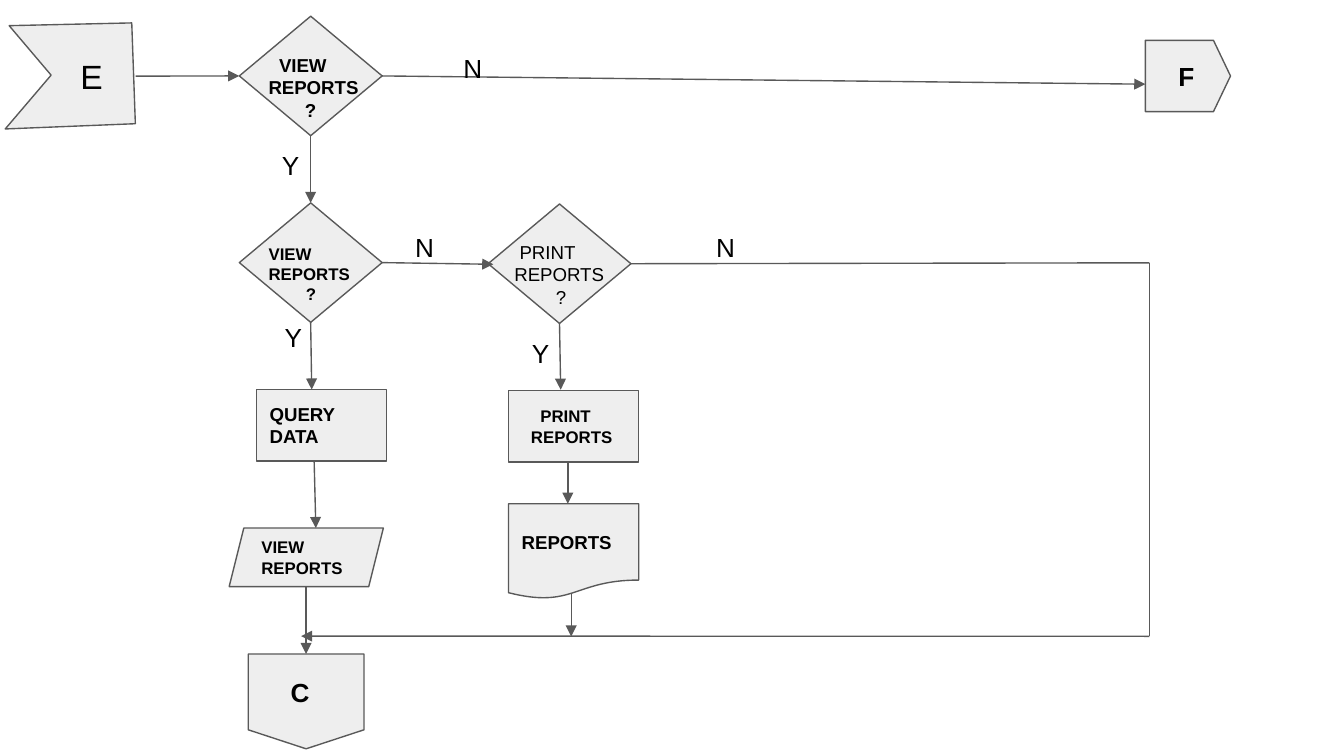
from lxml import etree
from pptx import Presentation
from pptx.dml.color import RGBColor
from pptx.enum.shapes import MSO_CONNECTOR, MSO_SHAPE
from pptx.enum.text import MSO_ANCHOR, PP_ALIGN
from pptx.oxml.ns import qn
from pptx.util import Pt

STRAIGHT = MSO_CONNECTOR.STRAIGHT
DIAMOND = MSO_SHAPE.DIAMOND
RECT = MSO_SHAPE.RECTANGLE
PARALLELOGRAM = MSO_SHAPE.PARALLELOGRAM
DOCUMENT = MSO_SHAPE.FLOWCHART_DOCUMENT
OFFPAGE = MSO_SHAPE.FLOWCHART_OFFPAGE_CONNECTOR
LEFT = PP_ALIGN.LEFT
TOP_ANCHOR, MIDDLE_ANCHOR = MSO_ANCHOR.TOP, MSO_ANCHOR.MIDDLE
TOP_SIDE, LEFT_SIDE, BOTTOM_SIDE, RIGHT_SIDE = range(4)


def color(value):
    return RGBColor.from_string(value)


class Flowchart:
    font = "Arial"
    ink = "000000"
    fill = "EEEEEE"
    stroke = "595959"
    weight = 0.75
    inset = 7.2

    def __init__(self, slide):
        self.slide = slide

    def outline(self, sp):
        sp.line.color.rgb = color(self.stroke)
        sp.line.width = Pt(self.weight)

    def paint(self, sp):
        sp.shadow.inherit = False
        sp.fill.solid()
        sp.fill.fore_color.rgb = color(self.fill)
        self.outline(sp)

    def set_lines(self, sp, lines, size, bold, anchor):
        tf = sp.text_frame
        tf.word_wrap = True
        tf.vertical_anchor = anchor
        tf.margin_left = tf.margin_right = Pt(self.inset)
        tf.margin_top = tf.margin_bottom = Pt(self.inset)
        for i, (text, indent) in enumerate(lines):
            p = tf.add_paragraph() if i else tf.paragraphs[0]
            p.add_run().text = text
            p.alignment = LEFT
            p.font.name = self.font
            p.font.size = Pt(size)
            p.font.bold = bold
            p.font.color.rgb = color(self.ink)
            pPr = p._p.get_or_add_pPr()
            pPr.set("marL", str(Pt(indent)))
            pPr.set("indent", "0")

    def shape(self, kind, x, y, w, h, lines=(), size=10, rotation=0):
        sp = self.slide.shapes.add_shape(kind, Pt(x), Pt(y), Pt(w), Pt(h))
        sp.rotation = rotation
        self.paint(sp)
        if lines:
            self.set_lines(sp, lines, size, True, MIDDLE_ANCHOR)
        return sp

    def text(self, x, y, w, h, lines, size=14, bold=False):
        sp = self.slide.shapes.add_textbox(Pt(x), Pt(y), Pt(w), Pt(h))
        self.set_lines(sp, lines, size, bold, TOP_ANCHOR)

    def polygon(self, points):
        points = [(Pt(x), Pt(y)) for x, y in points]
        builder = self.slide.shapes.build_freeform(*points[0])
        builder.add_line_segments(points[1:], close=True)
        self.paint(builder.convert_to_shape())

    def position(self, end):
        sp, side = end
        if not hasattr(sp, "left"):
            return Pt(sp), Pt(side)
        dx, dy = ((1, 0), (0, 1), (1, 2), (2, 1))[side]
        return sp.left + sp.width * dx // 2, sp.top + sp.height * dy // 2

    def connect(self, start, end, arrow=True):
        c = self.slide.shapes.add_connector(
            STRAIGHT, *self.position(start), *self.position(end))
        if hasattr(start[0], "left"):
            c.begin_connect(*start)
        if hasattr(end[0], "left"):
            c.end_connect(*end)
        self.outline(c)
        spPr = c._element.spPr
        if arrow:
            tail = etree.SubElement(spPr.get_or_add_ln(), qn("a:tailEnd"))
            tail.set("type", "triangle")
        etree.SubElement(spPr, qn("a:effectLst"))


def main():
    prs = Presentation()
    prs.slide_width, prs.slide_height = Pt(720), Pt(405)
    chart = Flowchart(prs.slides.add_slide(prs.slide_layouts[6]))

    chart.polygon([(70.6, 12.3), (4.9, 13.8), (27.4, 40.3), (2.8, 69.1), (72.5, 66.3)])
    view, query, printing = [
        chart.shape(DIAMOND, x, y, 76.5, 64)
        for x, y in ((128.2, 8.7), (128.2, 108.7), (261.5, 109.3))]
    chart.shape(OFFPAGE, 617.3, 17.9, 38.2, 45.6, rotation=270)
    chart.shape(RECT, 137.4, 208.7, 69.8, 38.3, [("QUERY", 0), ("DATA", 0)])
    chart.shape(RECT, 272.4, 209.2, 69.8, 38.3, [("PRINT", 10), ("REPORTS", 5)], 9)
    output = chart.shape(PARALLELOGRAM, 122.8, 282.9, 82.6, 31.4,
                         [("VIEW", 0), ("REPORTS", 0)], 9)
    output.adjustments[0] = 0.25
    chart.shape(DOCUMENT, 272.4, 269.9, 69.8, 51, [("REPORTS", 0)])
    exit_c = chart.shape(OFFPAGE, 133, 350.4, 62, 50.8, [("C", 15.6)], 14)

    chart.connect((72.7, 40.8), (view, LEFT_SIDE))
    chart.connect((view, RIGHT_SIDE), (613.6, 45.1))
    chart.connect((view, BOTTOM_SIDE), (query, TOP_SIDE))
    chart.connect((query, RIGHT_SIDE), (264.3, 141.6))
    chart.connect((query, BOTTOM_SIDE), (167, 208.7))
    chart.connect((printing, BOTTOM_SIDE), (300.4, 208.8))
    chart.connect((168.3, 247), (169.2, 282.9))
    chart.connect((164, 314.3), (exit_c, TOP_SIDE))
    chart.connect((304.2, 247.5), (304.2, 269.9))
    chart.connect((306, 318.5), (306, 341))
    chart.connect((printing, RIGHT_SIDE), (615.8, 140.8), arrow=False)
    chart.connect((615.8, 140.8), (615.8, 340.9), arrow=False)
    chart.connect((615.8, 340.9), (161.3, 340.8))

    chart.text(136.8, 21.6, 124.6, 50.4,
               [("VIEW", 5.6), ("REPORTS", 0), ("?", 19.5)], 10, True)
    chart.text(136.8, 123.1, 64.1, 46.8,
               [("VIEW", 0), ("REPORTS", 0), ("?", 20)], 9, True)
    chart.text(268.5, 121.7, 69.8, 50.4,
               [("PRINT", 2.8), ("REPORTS", 0), ("?", 22.2)], 10)
    chart.text(624.2, 25.2, 14.4, 31, [("F", 0)], bold=True)
    chart.text(36, 23, 18, 27.4, [("E", 0)], 18)
    for label, x, y, w in (
            ("N", 241.2, 20.9, 14.4), ("N", 215.3, 116.6, 14.4),
            ("N", 376.6, 116.6, 55.4), ("Y", 144, 72.7, 25.9),
            ("Y", 145.4, 164.9, 36.7), ("Y", 277.9, 173.5, 25.9)):
        chart.text(x, y, w, 31, [(label, 0)])

    prs.save("out.pptx")


if __name__ == "__main__":
    main()
